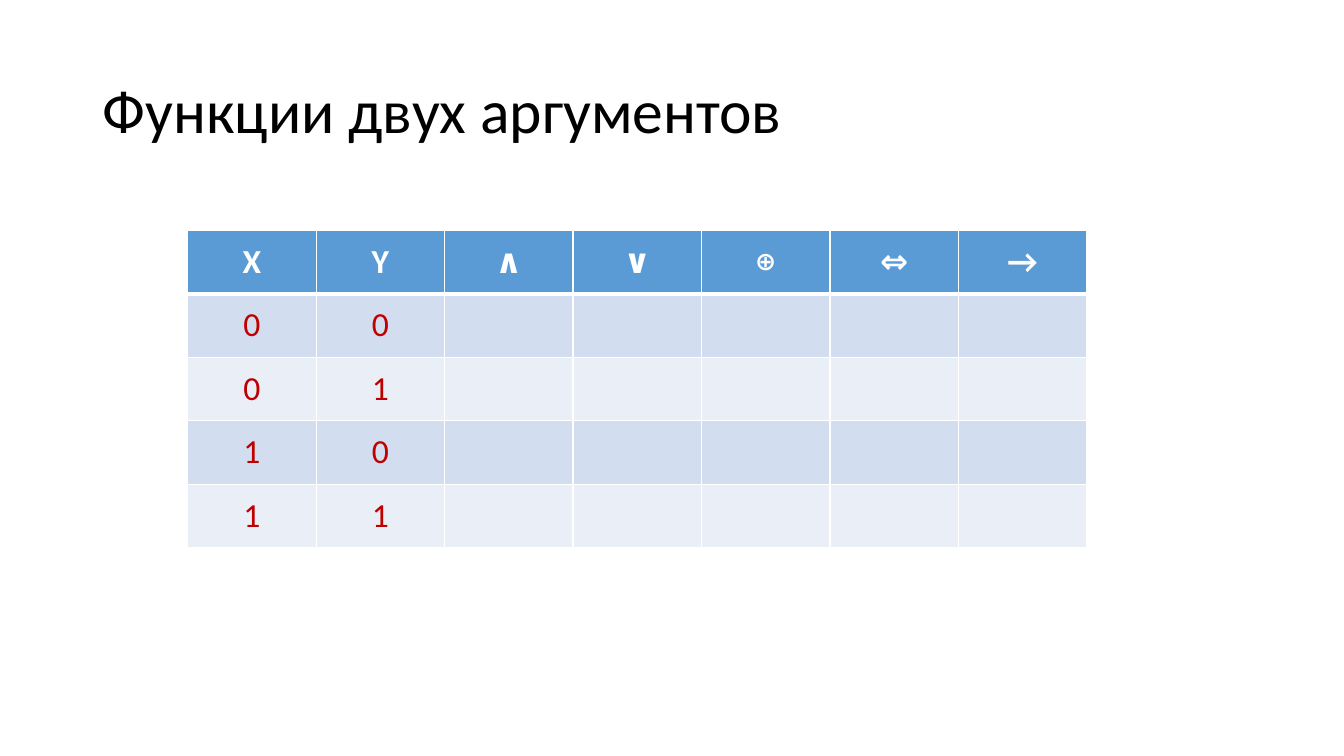
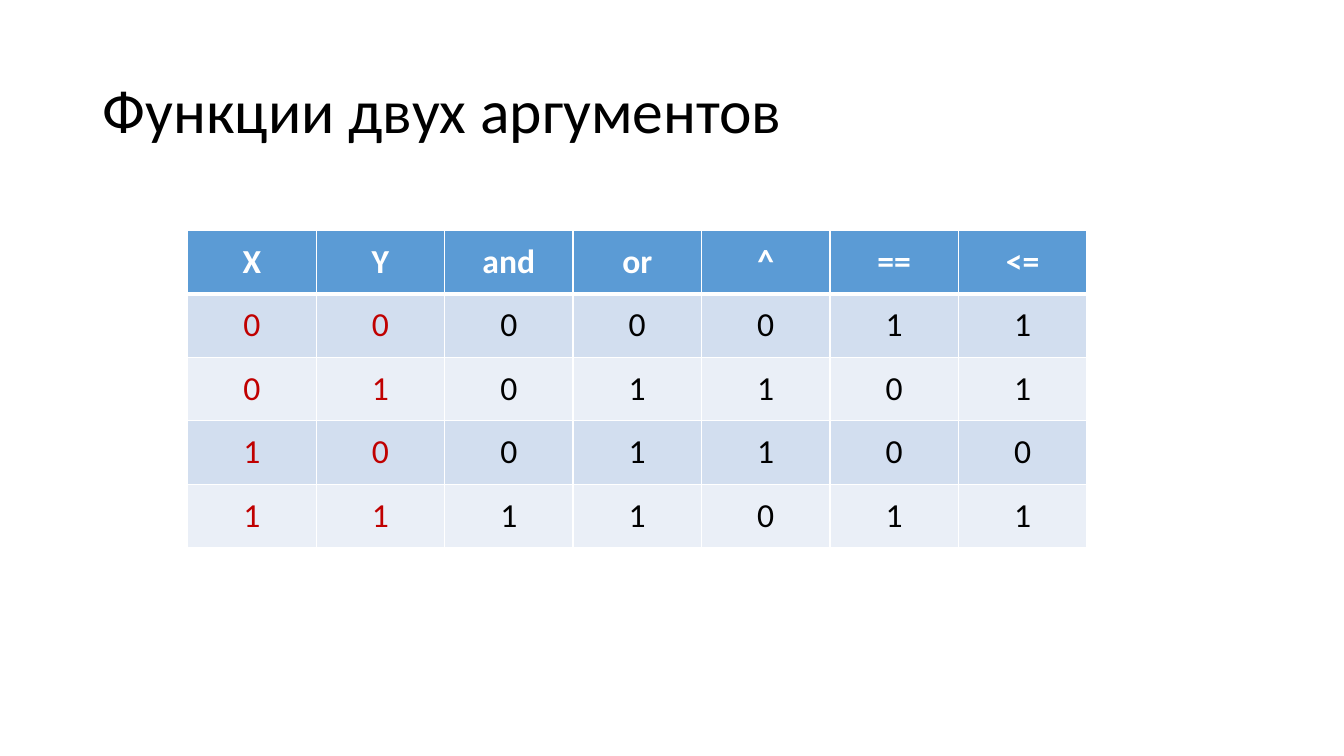
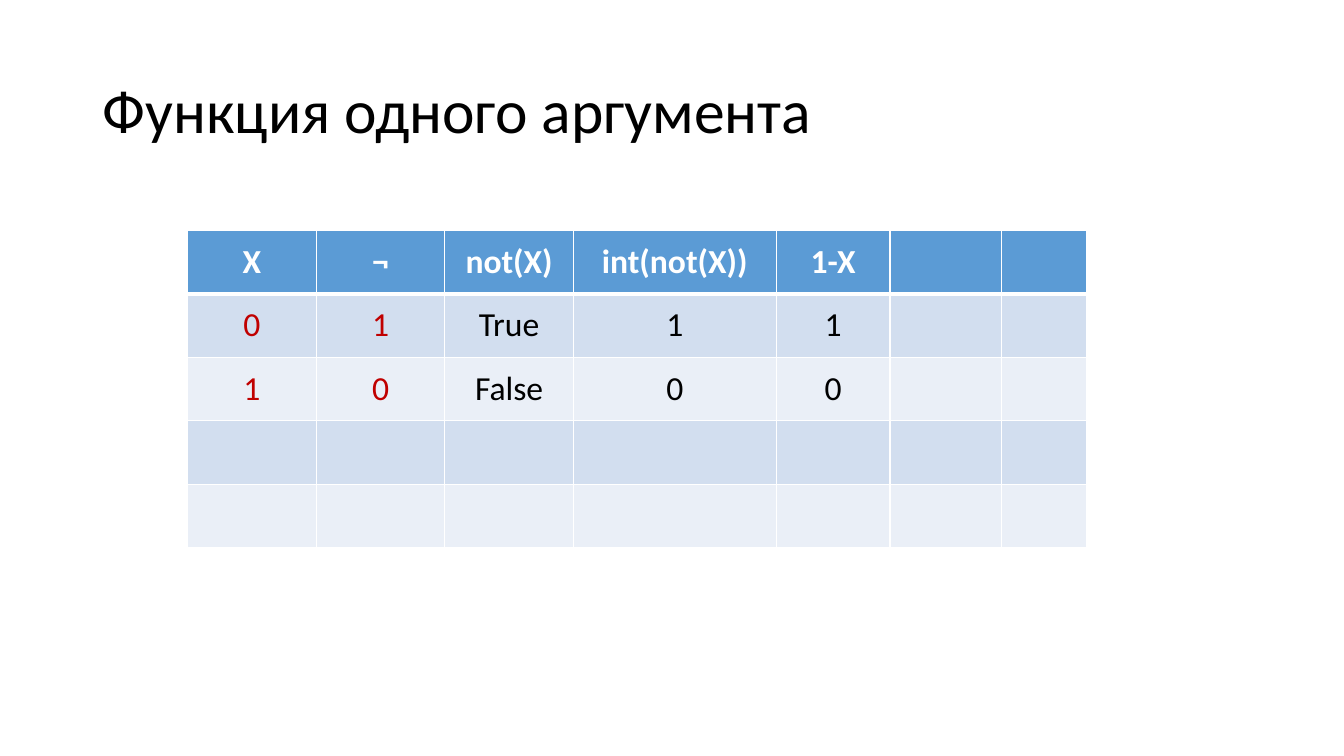
from lxml.etree import SubElement
from pptx import Presentation
from pptx.dml.color import RGBColor
from pptx.enum.text import MSO_ANCHOR as Anchor, MSO_AUTO_SIZE as AutoSize, PP_ALIGN as Align
from pptx.oxml.ns import qn
from pptx.util import Cm, Pt

COLORS = {
    "text": "000000",
    "argument": "C00000",
    "white": "FFFFFF",
    "header": "5B9BD5",
    "band_dark": "D2DEEF",
    "band_light": "EAEFF7",
}
FONT = "Calibri"

# Boxes in centimetres: left, top, width, height
TITLE_BOX = (2.33, 1.02, 29.21, 3.68)
TABLE_BOX = (4.73, 5.8, 22.66, 8)
ROWS, COLUMNS = 5, 7
ARGUMENT_COLUMNS = 2

PAGES = [
    {
        "title": "Функции двух аргументов",
        "rows": ["X Y ∧ ∨ ⊕ ⇔ →", "0 0", "0 1", "1 0", "1 1"],
    },
    {
        "title": "Функции двух аргументов",
        "rows": ["X Y and or ^ == <=", "0 0 0 0 0 1 1", "0 1 0 1 1 0 1",
                 "1 0 0 1 1 0 0", "1 1 1 1 0 1 1"],
    },
    {
        "title": "Функция одного аргумента",
        "rows": ["X ¬ not(X) int(not(X)) 1-X", "0 1 True 1 1", "1 0 False 0 0"],
        "widths": [3.24, 3.24, 3.24, 5.11, 2.87, 2.8, 2.16],
    },
]


def color(name):
    return RGBColor.from_string(COLORS[name])


def write(frame, text, size=24, ink="text", bold=False, align=Align.CENTER, spacing=1.0):
    """Put one formatted line of text into a text frame."""
    para = frame.paragraphs[0]
    para.alignment = align
    para.line_spacing = spacing
    span = para.add_run()
    span.text = text
    span.font.name = FONT
    span.font.size = Pt(size)
    span.font.bold = bold
    span.font.color.rgb = color(ink)


def set_border(cell, side, points):
    """Draw one white cell edge; side is L, R, T or B."""
    properties = cell._tc.get_or_add_tcPr()
    line = SubElement(properties, qn(f"a:ln{side}"), w=str(Pt(points)))
    fill = SubElement(line, qn("a:solidFill"))
    SubElement(fill, qn("a:srgbClr"), val=COLORS["white"])


def add_title(page, box, text):
    title = page.shapes.title
    title.left, title.top, title.width, title.height = map(Cm, box)
    frame = title.text_frame
    frame.auto_size = AutoSize.NONE
    frame.vertical_anchor = Anchor.MIDDLE
    write(frame, text, size=44, align=Align.LEFT, spacing=0.9)


def style_cell(cell, row):
    """Borders and band colour; a thick line divides header and values."""
    edges = {"L": 1, "R": 1, "T": 3 if row == 1 else 1, "B": 3 if row == 0 else 1}
    for side, points in edges.items():
        set_border(cell, side, points)
    band = "header" if row == 0 else "band_dark" if row % 2 else "band_light"
    cell.fill.solid()
    cell.fill.fore_color.rgb = color(band)
    cell.vertical_anchor = Anchor.MIDDLE


def add_truth_table(page, box, rows, widths=None):
    left, top, width, height = box
    table = page.shapes.add_table(ROWS, COLUMNS, *map(Cm, box)).table
    table.first_row = table.horz_banding = False
    for column, column_width in zip(table.columns, widths or [width / COLUMNS] * COLUMNS):
        column.width = Cm(column_width)
    for row in range(ROWS):
        table.rows[row].height = Cm(height / ROWS)
        for column in range(COLUMNS):
            style_cell(table.cell(row, column), row)

    # Values, with the argument columns in red
    for row, line in enumerate(rows):
        for column, text in enumerate(line.split()):
            ink = "white" if row == 0 else "argument" if column < ARGUMENT_COLUMNS else "text"
            write(table.cell(row, column).text_frame, text, ink=ink, bold=row == 0,
                  size=18 if text == "⊕" else 24)


def add_table_page(deck, title, rows, widths=None):
    page = deck.slides.add_slide(deck.slide_layouts.get_by_name("Title Only"))
    add_title(page, TITLE_BOX, title)
    add_truth_table(page, TABLE_BOX, rows, widths)


def main():
    deck = Presentation()
    deck.slide_width, deck.slide_height = Cm(33.87), Cm(19.05)
    for content in PAGES:
        add_table_page(deck, **content)
    deck.save("out.pptx")


if __name__ == "__main__":
    main()
